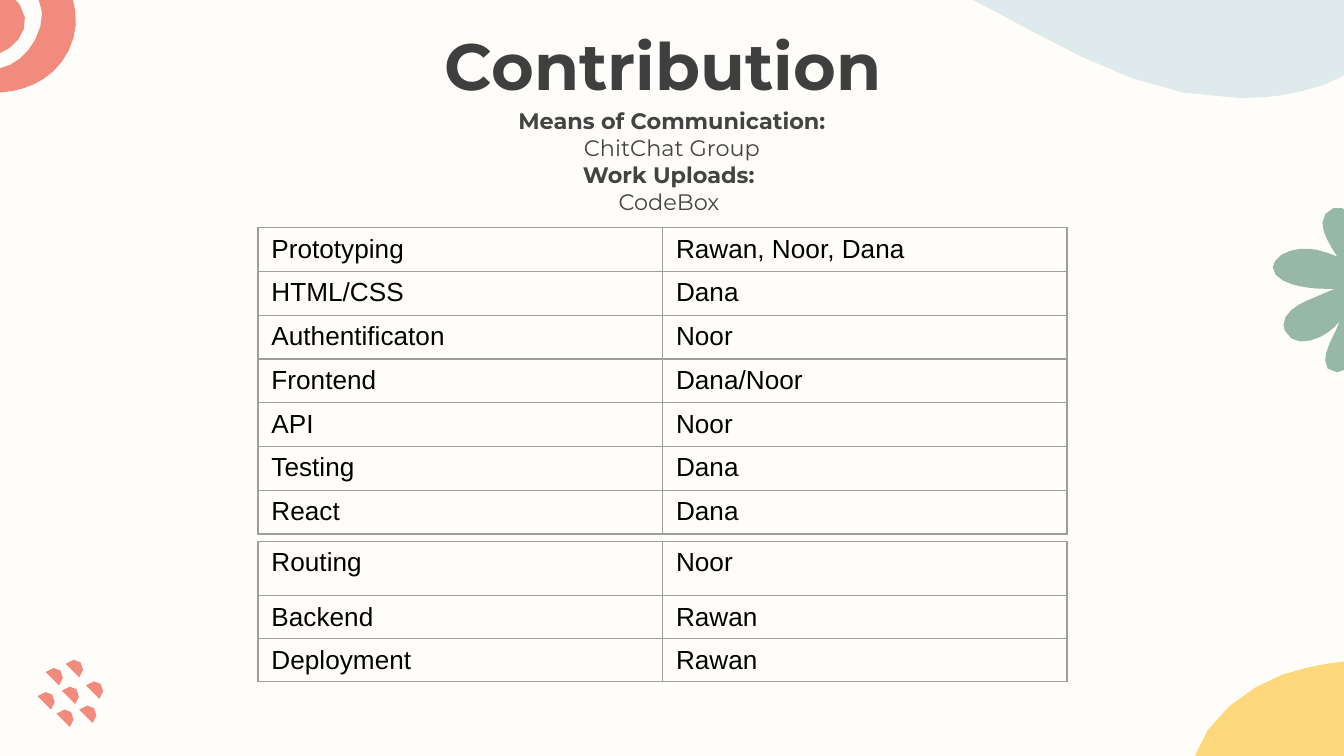
import math

import pptx
import pptx.dml.color
import pptx.enum.text
import pptx.oxml
import pptx.oxml.ns
import pptx.util

Pt = pptx.util.Pt
RGB = pptx.dml.color.RGBColor
CREAM = RGB(0xFF, 0xFD, 0xF9)
BLUE = RGB(0xDE, 0xEA, 0xEC)
GREEN = RGB(0x97, 0xB8, 0xA5)
CORAL = RGB(0xF1, 0x8B, 0x7E)
YELLOW = RGB(0xFF, 0xD8, 0x7E)
DARK = RGB(0x3F, 0x3F, 0x3F)
GREY = RGB(0x43, 0x43, 0x43)
RULE = RGB(0x9E, 0x9E, 0x9E)
BLACK = RGB(0, 0, 0)

UNIT = 0.72  # points per outline unit

# Each outline is a start point, then lines (x, y) and cubic curves (6 numbers).
WAVE = [(922, 73), (835, 73, 774, 21, 683, -20), (1050, -20),
        (1050, 34, 998, 63, 968, 68), (952, 72, 937, 73, 922, 73)]
HILL = [(1022, 491), (1117, 491, 1183, 548, 1283, 593), (883, 593),
        (883, 534, 939, 503, 972, 497), (989, 493, 1006, 491, 1022, 491)]
FLOWER = [
    (947, 199), (947, 207, 960, 212, 967, 213), (976, 215, 984, 215, 993, 215),
    (986, 218, 979, 221, 972, 224), (965, 227, 955, 233, 955, 242),
    (955, 243, 955, 245, 956, 246), (961, 257, 973, 255, 982, 251),
    (988, 248, 993, 244, 997, 239), (995, 244, 993, 248, 991, 252),
    (989, 256, 986, 263, 986, 268), (986, 273, 988, 277, 995, 277),
    (1005, 277, 1012, 260, 1016, 252), (1019, 246, 1021, 240, 1022, 234),
    (1027, 244, 1034, 254, 1042, 245), (1043, 243, 1044, 240, 1044, 237),
    (1044, 234, 1043, 231, 1041, 228), (1038, 225, 1035, 222, 1031, 220),
    (1029, 218, 1026, 217, 1024, 216), (1028, 213, 1032, 210, 1036, 207),
    (1040, 204, 1043, 202, 1046, 198), (1048, 196, 1050, 192, 1050, 189),
    (1050, 187, 1050, 185, 1048, 184), (1043, 178, 1036, 182, 1031, 186),
    (1028, 188, 1024, 192, 1020, 196), (1019, 186, 1017, 177, 1012, 169),
    (1009, 162, 1001, 152, 992, 155), (987, 157, 984, 161, 984, 166),
    (984, 173, 989, 182, 995, 191), (990, 189, 985, 187, 980, 186),
    (971, 184, 955, 185, 949, 194), (948, 196, 947, 197, 947, 199)]
SWIRL = [
    (3, -39), (10, -39, 18, -38, 25, -34), (41, -25, 54, -10, 56, 8),
    (59, 29, 48, 49, 32, 59), (21, 66, 8, 69, -5, 69),
    (-15, 69, -25, 67, -34, 63), (-56, 54, -63, 32, -64, 9),
    (-64, 7, -62, 6, -60, 6), (-58, 6, -57, 6, -57, 7),
    (-48, 27, -45, 44, -22, 50), (-18, 51, -13, 52, -9, 52),
    (9, 52, 24, 40, 30, 20), (37, -2, 17, -18, -3, -18),
    (-6, -18, -9, -17, -12, -17), (-24, -14, -28, -2, -27, 9),
    (-26, 17, -20, 25, -12, 25), (-11, 25, -9, 25, -7, 24),
    (-2, 22, 0, 17, -2, 14), (-10, 14, -19, 8, -14, -1),
    (-12, -6, -8, -7, -4, -7), (3, -7, 12, -2, 15, 4),
    (25, 19, 13, 35, -1, 40), (-5, 41, -10, 42, -13, 42),
    (-26, 42, -38, 35, -43, 21), (-56, -11, -27, -39, 3, -39)]
SEED = [(6, 0), (8, 0, 10, 1, 11, 2), (14, 5, 13, 10, 10, 13), (0, 3),
        (2, 1, 4, 0, 6, 0)]
SEEDS = [(42, 528), (59, 525), (46, 511), (28, 515), (34, 497), (49, 491),
         (64, 507)]

TASKS = [("Prototyping", "Rawan, Noor, Dana"), ("HTML/CSS", "Dana"),
         ("Authentificaton", "Noor"), ("Frontend", "Dana/Noor"),
         ("API", "Noor"), ("Testing", "Dana"), ("React", "Dana")]
FINAL = [("Backend", "Rawan"), ("Deployment", "Rawan")]
ROUTE = [("Routing", "Noor")]


def trace(path):
    """Turn an outline into points; longer curves get more pieces."""
    dots = [path[0]]
    for part in path[1:]:
        if len(part) == 2:
            dots.append(part)
            continue
        ends = [dots[-1], part[:2], part[2:4], part[4:]]
        count = min(6, math.ceil(math.dist(ends[0], ends[3]) / 8))
        for step in range(1, count + 1):
            t = step / count
            u = 1 - t
            mix = (u ** 3, 3 * u * u * t, 3 * u * t * t, t ** 3)
            dots.append(tuple(sum(m * e[i] for m, e in zip(mix, ends))
                              for i in (0, 1)))
    return dots


def add_blob(slide, path, color, left=0, top=0):
    dots = [(Pt((x + left) * UNIT), Pt((y + top) * UNIT))
            for x, y in trace(path)]
    pen = slide.shapes.build_freeform(*dots[0])
    pen.add_line_segments(dots[1:-1], close=True)
    blob = pen.convert_to_shape()
    blob.shadow.inherit = False
    blob.fill.solid()
    blob.fill.fore_color.rgb = color
    blob.line.fill.background()


def style(font, name, size, color, bold=False):
    font.name = name
    font.size = Pt(size)
    font.color.rgb = color
    font.bold = bold


def add_text(slide, box, lines, size, color, base=7.2):
    """Add centred lines, each a (text, bold) pair; base is the bottom inset."""
    frame = slide.shapes.add_textbox(*map(Pt, box)).text_frame
    frame.word_wrap = True
    frame.margin_left = frame.margin_right = frame.margin_top = Pt(7.2)
    frame.margin_bottom = Pt(base)
    frame.vertical_anchor = pptx.enum.text.MSO_ANCHOR.MIDDLE
    frame.text = "\n".join(text for text, bold in lines)
    for para, (text, bold) in zip(frame.paragraphs, lines):
        para.alignment = pptx.enum.text.PP_ALIGN.CENTER
        style(para.runs[0].font, "Montserrat", size, color, bold)


def add_rules(cell):
    """Draw the four borders of a cell."""
    props = cell._tc.get_or_add_tcPr()
    space = pptx.oxml.ns.nsdecls("a")
    for spot, side in enumerate("LRTB"):
        props.insert(spot, pptx.oxml.parse_xml(
            f'<a:ln{side} {space} w="{Pt(0.75)}"><a:solidFill>'
            f'<a:srgbClr val="{RULE}"/></a:solidFill></a:ln{side}>'))


def add_grid(slide, top, high, rows):
    grid = slide.shapes.add_table(len(rows), 2, Pt(138.24), Pt(top),
                                  Pt(433.44), Pt(high * len(rows))).table
    grid.first_row = grid.horz_banding = False
    for line, row in zip(grid.rows, rows):
        line.height = Pt(high)
        for cell, text in zip(line.cells, row):
            cell.text = text
            cell.margin_bottom = Pt(2)
            style(cell.text_frame.paragraphs[0].runs[0].font, "Arial", 14,
                  BLACK)
            cell.fill.background()
            add_rules(cell)


def main():
    deck = pptx.Presentation()
    deck.slide_width, deck.slide_height = Pt(720), Pt(405)
    slide = deck.slides.add_slide(deck.slide_layouts[6])
    slide.background.fill.solid()
    slide.background.fill.fore_color.rgb = CREAM

    add_blob(slide, WAVE, BLUE)
    add_blob(slide, FLOWER, GREEN)
    for left, top in SEEDS:
        add_blob(slide, SEED, CORAL, left, top)
    add_blob(slide, HILL, YELLOW)
    add_blob(slide, SWIRL, CORAL)

    add_text(slide, (56.88, 11.8, 606.96, 45.36), [("Contribution ", True)],
             35, DARK)
    add_grid(slide, 122, 23.45, TASKS)
    add_grid(slide, 319.2, 23.04, FINAL)
    add_grid(slide, 290, 29.2, ROUTE)
    add_text(slide, (173.52, 64.08, 372.96, 59.04),
             [("Means of Communication:", True), ("ChitChat Group", False),
              ("Work Uploads: ", True), ("CodeBox ", False)],
             12, GREY, base=21.6)
    deck.save("out.pptx")


if __name__ == "__main__":
    main()
